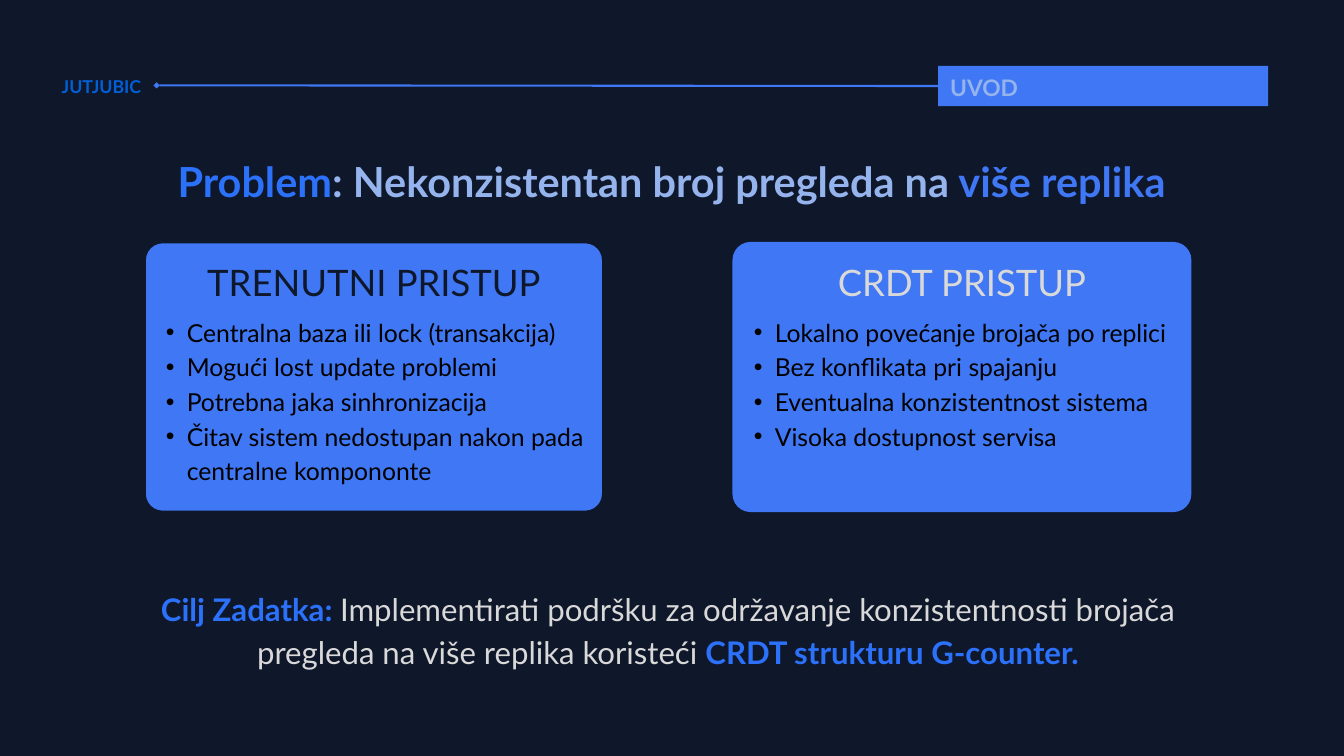
import pptx
import pptx.util
import pptx.dml.color
import pptx.enum.shapes
import pptx.enum.text
import pptx.oxml.ns
from lxml import etree

Inches = pptx.util.Inches
Pt = pptx.util.Pt
RGBColor = pptx.dml.color.RGBColor
SHAPE = pptx.enum.shapes.MSO_SHAPE
ALIGN = pptx.enum.text.PP_ALIGN
qn = pptx.oxml.ns.qn

NAVY = RGBColor(0x0F, 0x17, 0x2A)
BLUE = RGBColor(0x3F, 0x77, 0xF4)
BRIGHT_BLUE = RGBColor(0x2B, 0x71, 0xFA)
DEEP_BLUE = RGBColor(0x02, 0x5F, 0xD7)
PALE_BLUE = RGBColor(0x95, 0xB4, 0xED)
GREY = RGBColor(0xD9, 0xD9, 0xD9)
BLACK = RGBColor(0, 0, 0)

FONT = "Lato"
CARD_TOP, CARD_WIDTH, CARD_HEIGHT = 3.6, 6.83, 4.02
CORNER_RADIUS = 0.27


def add_panel(slide, preset, left, top, width, height):
    panel = slide.shapes.add_shape(
        preset, Inches(left), Inches(top), Inches(width), Inches(height))
    panel.shadow.inherit = False
    panel.fill.solid()
    panel.fill.fore_color.rgb = BLUE
    panel.line.fill.background()
    return panel


def add_text_frame(slide, left, top, width, height):
    box = slide.shapes.add_textbox(
        Inches(left), Inches(top), Inches(width), Inches(height))
    frame = box.text_frame
    frame.word_wrap = True
    frame.margin_left = frame.margin_right = 0
    frame.margin_top = frame.margin_bottom = 0
    return frame


def style_paragraph(paragraph, size, spacing, align=ALIGN.LEFT):
    paragraph.alignment = align
    paragraph.line_spacing = Pt(spacing)
    paragraph.font.name = FONT
    paragraph.font.size = Pt(size)


def add_label(slide, place, text, size, spacing, color, bold=False,
              align=ALIGN.CENTER):
    paragraph = add_text_frame(slide, *place).paragraphs[0]
    paragraph.text = text
    style_paragraph(paragraph, size, spacing, align)
    paragraph.font.bold = bold
    paragraph.font.color.rgb = color


def add_mixed_text(slide, place, parts, size, spacing):
    """One centred paragraph of (text, colour, bold) parts."""
    paragraph = add_text_frame(slide, *place).paragraphs[0]
    style_paragraph(paragraph, size, spacing, ALIGN.CENTER)
    for text, color, bold in parts:
        run = paragraph.add_run()
        run.text = text
        run.font.color.rgb = color
        run.font.bold = bold


def add_bullets(slide, place, items):
    frame = add_text_frame(slide, *place)
    for index, item in enumerate(items):
        paragraph = frame.add_paragraph() if index else frame.paragraphs[0]
        paragraph.text = item
        paragraph.level = 1
        properties = paragraph._p.get_or_add_pPr()
        properties.set("marL", str(Inches(0.63)))
        properties.set("indent", str(Inches(-0.31)))
        etree.SubElement(properties, qn("a:buFont")).set("typeface", "Arial")
        etree.SubElement(properties, qn("a:buChar")).set("char", "•")
        style_paragraph(paragraph, 26.5, 37.1)
        paragraph.font.color.rgb = BLACK


def add_card(slide, left, title, title_color, items):
    card = add_panel(slide, SHAPE.ROUNDED_RECTANGLE,
                     left, CARD_TOP, CARD_WIDTH, CARD_HEIGHT)
    card.adjustments[0] = CORNER_RADIUS / CARD_HEIGHT
    add_bullets(slide, (left, 4.65, CARD_WIDTH, 2.53), items)
    add_label(slide, (left, 3.95, CARD_WIDTH, 0.6), title, 39, 40.6,
              title_color)
    return card


def add_header_line(slide):
    line = slide.shapes.add_connector(
        pptx.enum.shapes.MSO_CONNECTOR.STRAIGHT,
        Inches(2.33), Inches(1.27), Inches(13.96), Inches(1.28))
    line.line.color.rgb = BLUE
    line.line.width = Pt(2.25)
    etree.SubElement(line.line._get_or_add_ln(),
                     qn("a:headEnd")).set("type", "diamond")
    etree.SubElement(line._element.spPr, qn("a:effectLst"))


def main():
    deck = pptx.Presentation()
    deck.slide_width, deck.slide_height = Inches(20), Inches(11.25)
    slide = deck.slides.add_slide(deck.slide_layouts[6])
    slide.background.fill.solid()
    slide.background.fill.fore_color.rgb = NAVY

    # Header: deck name, line and section tag
    add_header_line(slide)
    add_panel(slide, SHAPE.RECTANGLE, 13.96, 0.98, 4.91, 0.6)
    add_label(slide, (0.69, 1.07, 1.64, 0.35), "JUTJUBIC", 19, 26.6,
              DEEP_BLUE, bold=True)
    add_label(slide, (14.14, 1.03, 4.7, 0.45), "UVOD", 24.4, 34.1,
              PALE_BLUE, bold=True, align=ALIGN.LEFT)

    # Title
    add_mixed_text(slide, (1.12, 2.2, 17.75, 0.82), [
        ("Problem", BRIGHT_BLUE, True),
        (": Nekonzistentan broj pregleda na", PALE_BLUE, True),
        (" više replika", BLUE, True),
    ], 44.4, 62.1)

    # Two approaches side by side
    current_card = add_card(slide, 2.15, "TRENUTNI PRISTUP", NAVY, [
        "Centralna baza ili lock (transakcija)",
        "Mogući lost update problemi",
        "Potrebna jaka sinhronizacija",
        "Čitav sistem nedostupan nakon pada centralne kompononte",
    ])
    current_card.line.color.rgb = NAVY
    current_card.line.width = Pt(3)
    add_card(slide, 10.9, "CRDT PRISTUP", GREY, [
        "Lokalno povećanje brojača po replici",
        "Bez konflikata pri spajanju",
        "Eventualna konzistentnost sistema",
        "Visoka dostupnost servisa",
    ])

    # Goal
    add_mixed_text(slide, (2.15, 8.69, 15.58, 1.26), [
        ("Cilj Zadatka: ", BRIGHT_BLUE, True),
        ("Implementirati podršku za održavanje konzistentnosti brojača "
         "pregleda na više replika koristeći ", GREY, False),
        ("CRDT strukturu G-counter.", BRIGHT_BLUE, True),
    ], 33.4, 46.7)

    deck.save("out.pptx")


if __name__ == "__main__":
    main()
